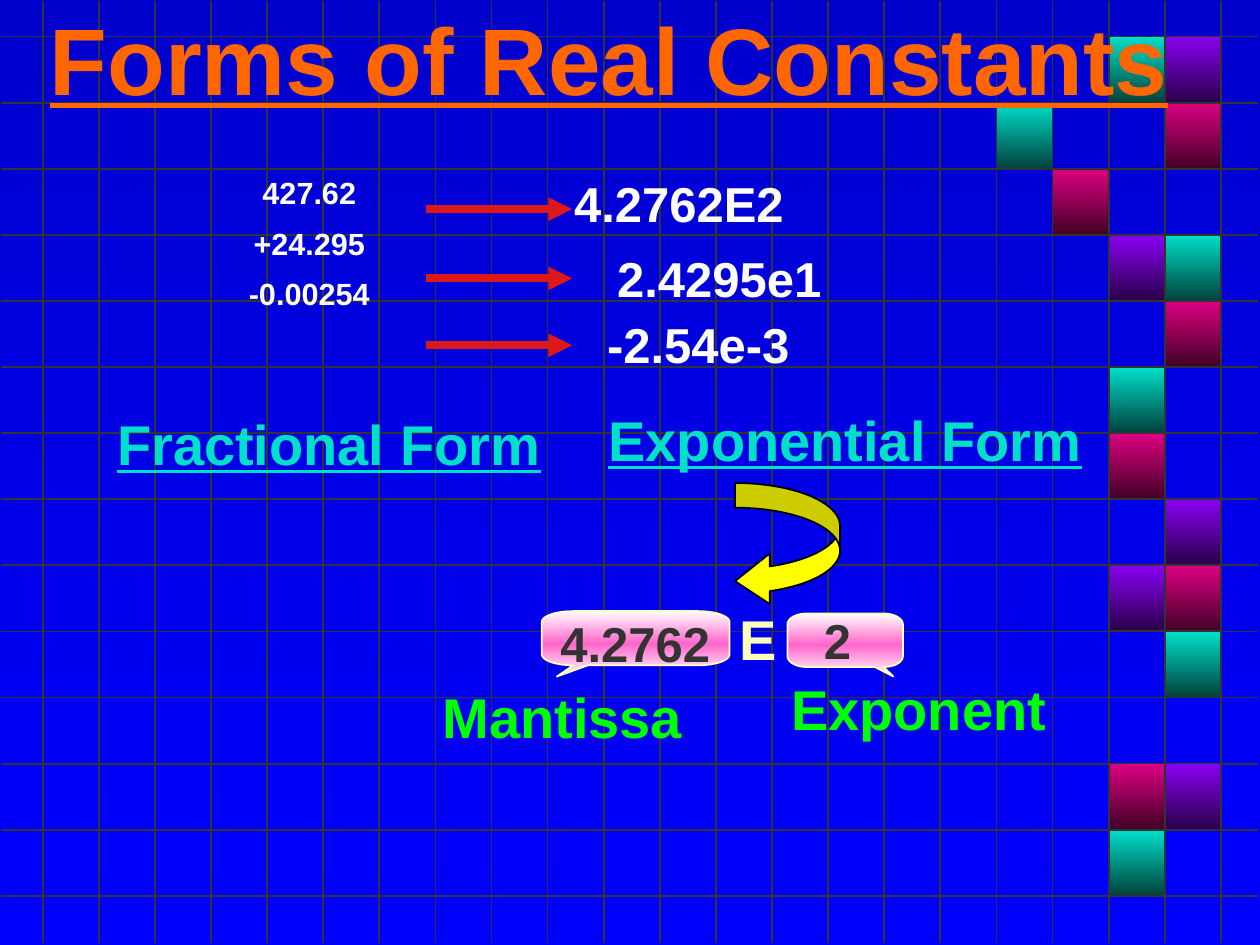
import copy
import math
import pptx
import pptx.util
import pptx.dml.color
import pptx.enum.shapes
import pptx.enum.text
import pptx.oxml.ns
import lxml.etree

Pt = pptx.util.Pt
Align = pptx.enum.text.PP_ALIGN
Shape = pptx.enum.shapes.MSO_SHAPE

THEME = dict(
    font="Arial", title=54, head=32, value=28, small=17.5,
    orange="FF6600", white="FFFFFF", aqua="00DFCA", green="00FF00",
    cream="FCFEB9", dark="333333", red="DC1818", yellow="FFFF00",
    black="000000", back=("0000CC", "0000FF"), pink=("FFFFFF", "FF66CC", "FFFFFF"),
    teal=("00DFCA", "00423B"), violet=("8901F3", "280048"), rose=("DC0081", "410026"))

# Grid: first line, step and count on each axis
COLS, ROWS = (24.4, 32.06, 22), (20.9, 37.77, 14)
CELLS = {
    "teal": [(19, 0), (17, 1), (20, 3), (19, 5), (20, 9), (19, 12)],
    "violet": [(20, 0), (19, 3), (20, 7), (19, 8), (20, 11)],
    "rose": [(20, 1), (18, 2), (20, 4), (19, 6), (20, 8), (19, 11)]}

# Bubbles: left, top, width, height, corner, tail base, tail tip
BUBBLES = [
    (450, 350.6, 66, 30.6, (11, 6.2), (500, 505), (510.5, 386.6)),
    (309.6, 349.2, 107.3, 31, (18, 6.2), (327.6, 336), (318.2, 386.6))]

ARROWS = [119.5, 159.1, 197.3]
FORMS = ["427.62", "+24.295", "-0.00254"]

# Labels: lines, (left, top, width, height), size, colour, align, underline
LABELS = [
    (["Fractional Form"], (59.8, 230.4, 264, 53), "head", "aqua", "LEFT", True),
    (["Forms of Real Constants"], (-18, -12.2, 732, 90.7), "title", "orange", "CENTER", True),
    (FORMS, (92.9, 95.8, 167.8, 113.8), "small", "white", "CENTER", False),
    (["4.2762"], (313.2, 347, 174, 41), "value", "dark", "LEFT", False),
    (["2"], (463.7, 345.6, 114, 41), "value", "dark", "LEFT", False),
    (["Mantissa"], (245.8, 386.6, 183, 46), "head", "green", "LEFT", False),
    (["Exponent"], (445, 381.6, 191.5, 46), "head", "green", "LEFT", False),
    (["E"], (415.4, 342, 78, 46), "head", "cream", "LEFT", False),
    (["4.2762E2"], (321, 95.8, 174, 36), "value", "white", "LEFT", False),
    (["Exponential Form"], (324, 228.2, 318, 53), "head", "aqua", "CENTER", True),
    (["2.4295e1"], (321, 138.2, 180, 35.3), "value", "white", "CENTER", False),
    (["-2.54e-3"], (327, 176.4, 144, 47.5), "value", "white", "CENTER", False)]


def rgb(code):
    """Turn a hex code into a colour."""
    return pptx.dml.color.RGBColor.from_string(code)


def shade(fill, codes):
    """Fill from top to bottom with evenly spaced colours."""
    fill.gradient()
    fill.gradient_angle = 270
    last = fill.gradient_stops[-1]._gs
    for _ in codes[2:]:
        last.addprevious(copy.deepcopy(last))
    for i, (stop, code) in enumerate(zip(fill.gradient_stops, codes)):
        stop.color.rgb = rgb(code)
        stop.position = i / (len(codes) - 1)


def edge(shape, color, width=1):
    """Outline a shape."""
    shape.line.color.rgb = rgb(THEME[color])
    shape.line.width = Pt(width)


def rule(slide, start, end, color, width=1, head=False):
    """Draw a straight line, with an arrowhead if asked."""
    line = slide.shapes.add_connector(
        pptx.enum.shapes.MSO_CONNECTOR.STRAIGHT, *map(Pt, start + end))
    edge(line, color, width)
    qn = pptx.oxml.ns.qn
    if head:
        lxml.etree.SubElement(line.line._get_or_add_ln(), qn("a:tailEnd"), type="triangle")
    lxml.etree.SubElement(line._element.spPr, qn("a:effectLst"))


def grid(slide):
    """Draw the grid lines and the coloured cells."""
    (left, wide, cols), (top, high, rows) = COLS, ROWS
    for i in range(rows):
        y = top + i * high
        rule(slide, (0.7, y), (718.6, y), "dark")
    for i in range(cols):
        x = left + i * wide
        rule(slide, (x, 0.7), (x, 538.6), "dark")
    for name, spots in CELLS.items():
        for col, row in spots:
            cell = slide.shapes.add_shape(Shape.RECTANGLE, *map(
                Pt, (left + col * wide, top + row * high, wide, high)))
            cell.shadow.inherit = False
            shade(cell.fill, THEME[name])
            edge(cell, "dark")


def bubble(slide, x, y, w, h, corner, base, tip):
    """Draw a speech bubble with oval corners and a tail below."""
    rx, ry = corner
    turns = [(x + w - rx, y + ry, -90), (x + w - rx, y + h - ry, 0),
             (x + rx, y + h - ry, 90), (x + rx, y + ry, 180)]
    dots = []
    for cx, cy, start in turns:
        for step in range(0, 91, 10):
            a = math.radians(start + step)
            dots.append((cx + rx * math.cos(a), cy + ry * math.sin(a)))
        if start == 0:
            dots += [(base[1], y + h), tip, (base[0], y + h)]
    dots = [(Pt(a), Pt(b)) for a, b in dots]
    form = slide.shapes.build_freeform(*dots[0])
    form.add_line_segments(dots[1:], close=True)
    shape = form.convert_to_shape()
    shape.shadow.inherit = False
    shade(shape.fill, THEME["pink"])
    edge(shape, "cream")


def bend(slide):
    """Draw the curved arrow from the form to its parts."""
    shape = slide.shapes.add_shape(Shape.CURVED_LEFT_ARROW, *map(Pt, (420, 276, 60, 70.5)))
    for i, part in enumerate((0.235, 0.48, 0.33)):
        shape.adjustments[i] = part
    shape.shadow.inherit = False
    shape.fill.solid()
    shape.fill.fore_color.rgb = rgb(THEME["yellow"])
    edge(shape, "black")


def label(slide, lines, place, size, color, align, under):
    """Write lines of bold text in a box."""
    frame = slide.shapes.add_textbox(*map(Pt, place)).text_frame
    frame.word_wrap = True
    if size == "title":
        frame.vertical_anchor = pptx.enum.text.MSO_ANCHOR.MIDDLE
    frame.text = "\n".join(lines)
    for i, para in enumerate(frame.paragraphs):
        para.alignment = Align[align]
        if i:
            para.space_before = Pt(8)
        font = para.font
        font.name, font.size, font.bold = THEME["font"], Pt(THEME[size]), True
        font.color.rgb = rgb(THEME[color])
        if under:
            font.underline = True


def main():
    """Build and save the slide."""
    deck = pptx.Presentation()
    deck.slide_width, deck.slide_height = Pt(720), Pt(540)
    slide = deck.slides.add_slide(deck.slide_layouts[6])
    shade(slide.background.fill, THEME["back"])
    grid(slide)
    for item in BUBBLES:
        bubble(slide, *item)
    for item in LABELS:
        label(slide, *item)
    for y in ARROWS:
        rule(slide, (243.4, y), (326.9, y), "red", 4.5, True)
    bend(slide)
    deck.save("out.pptx")


main()
